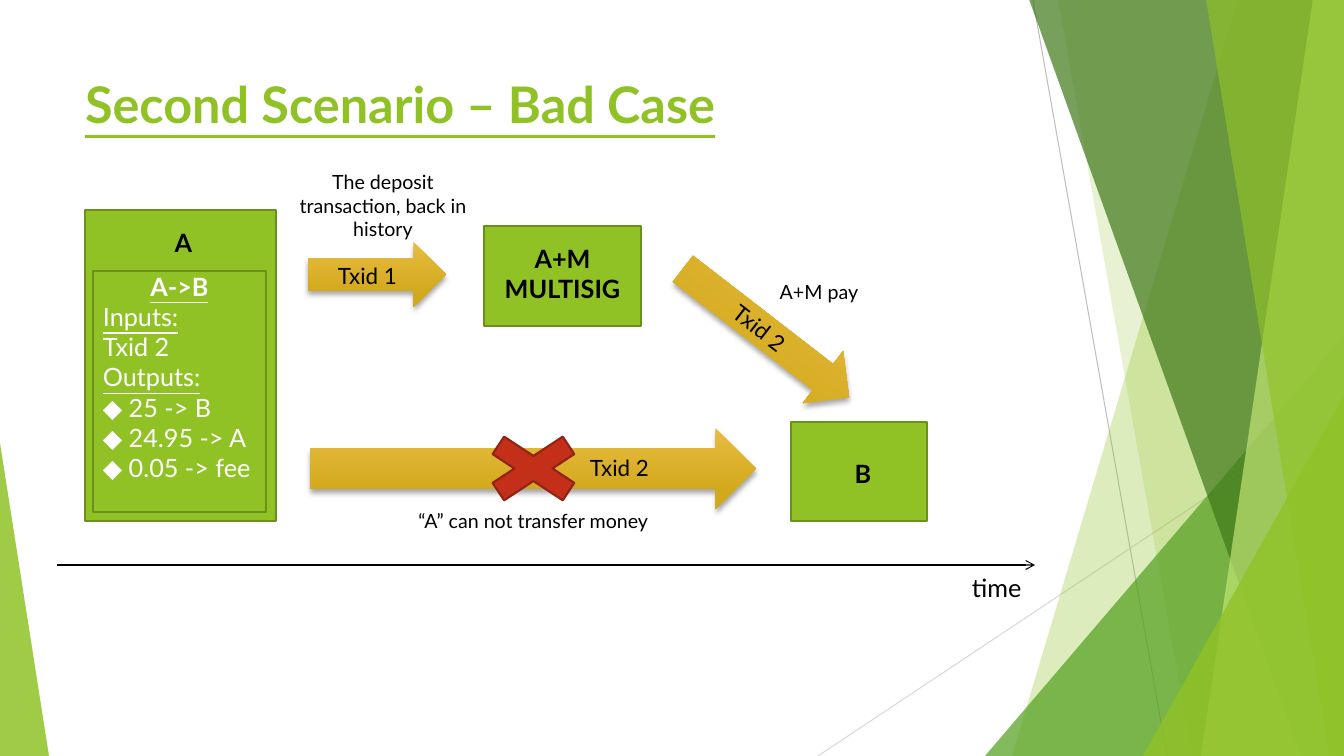
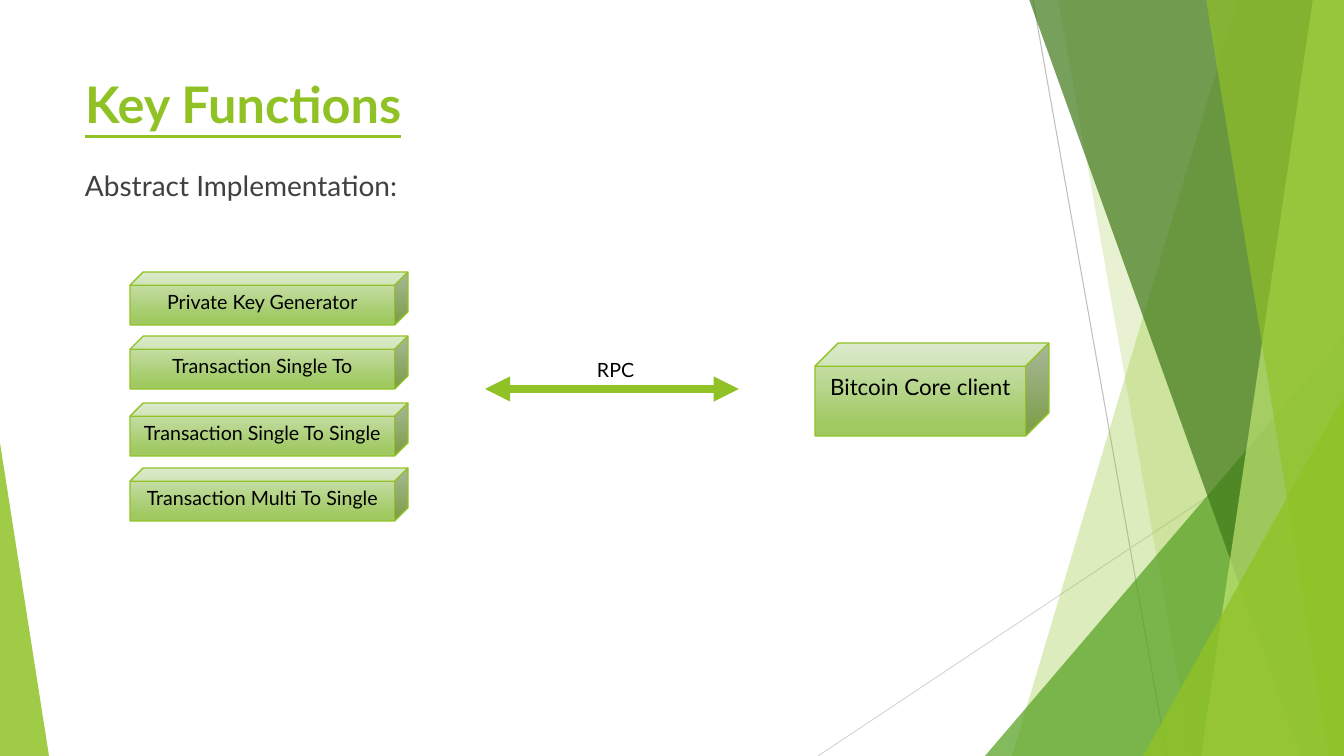
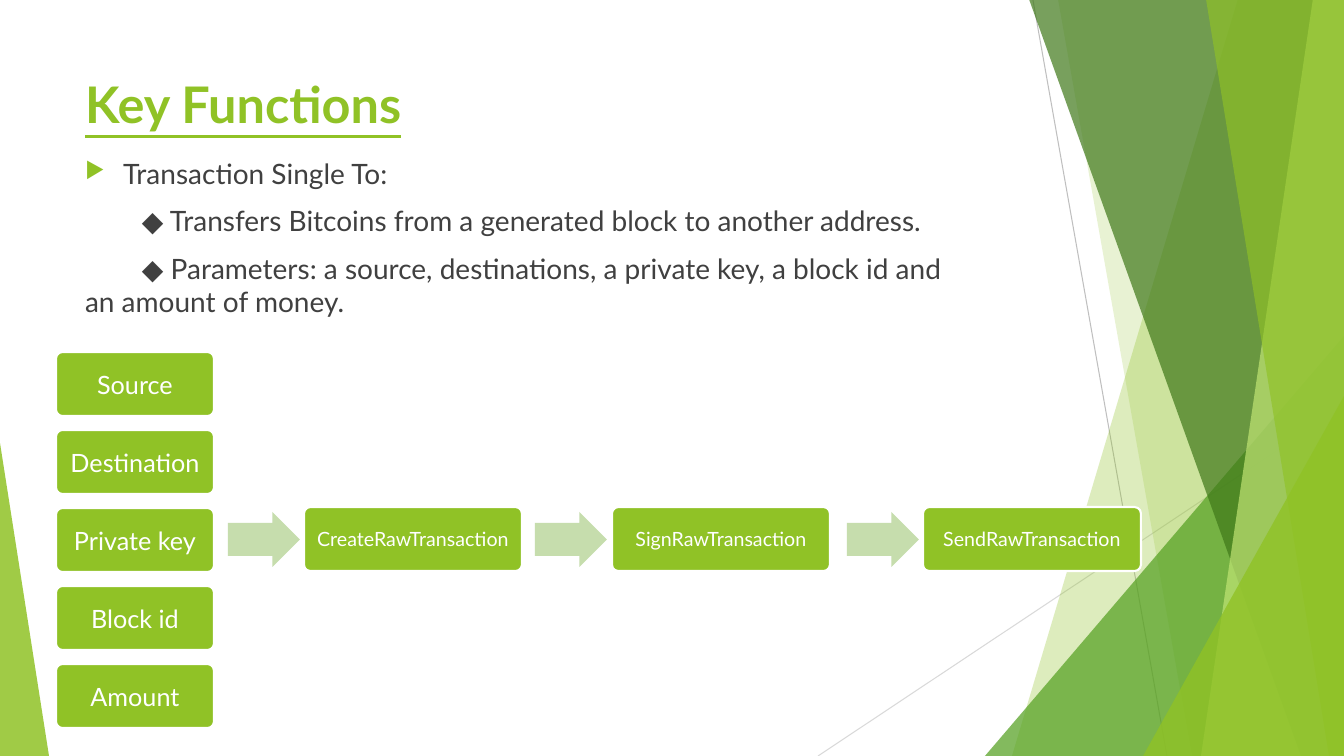
from lxml import etree
from pptx import Presentation
from pptx import util as u
from pptx.dml import color
from pptx.enum import shapes, text
from pptx.oxml import ns

GREEN, DARK_GREEN, PALE_GREEN = "90C226", "6B901C", "C6DDAD"
BLACK, WHITE, GREY = "000000", "FFFFFF", "404040"
RED, DARK_RED = "C42F1A", "912313"
GOLD = (("E7BC43", 0), ("D2A91B", 0.78))
LEAF = (("D3E5BE", 0), ("A0C962", 0.88))
FONT = "Lato"
SCALE = 12192000 / 1344
KIND = shapes.MSO_SHAPE
LEFT, CENTER = text.PP_ALIGN.LEFT, text.PP_ALIGN.CENTER
TOP, MIDDLE = text.MSO_ANCHOR.TOP, text.MSO_ANCHOR.MIDDLE


def px(*lengths):
    return [u.Emu(round(length * SCALE)) for length in lengths]


def rgb(value):
    return color.RGBColor.from_string(value)


def child(parent, tag, **attributes):
    return etree.SubElement(parent, ns.qn(tag), attributes)


def write(frame, lines, size=18, ink=BLACK, bold=False, underline=False, align=LEFT,
          anchor=TOP, insets=(10, 5, 10, 5), space_before=0, indent=0):
    frame.word_wrap = True
    frame.auto_size = text.MSO_AUTO_SIZE.NONE
    frame.vertical_anchor = anchor
    (frame.margin_left, frame.margin_top,
     frame.margin_right, frame.margin_bottom) = px(*insets)
    for index, line in enumerate(lines):
        words, own = line if isinstance(line, tuple) else (line, {})
        paragraph = frame.paragraphs[0] if index == 0 else frame.add_paragraph()
        paragraph.alignment = own.get("align", align)
        if index and space_before:
            paragraph.space_before = u.Pt(space_before)
        properties = paragraph._p.get_or_add_pPr()
        hanging = own.get("hanging", 0)
        if hanging:
            properties.set("marL", str(px(hanging)[0]))
            properties.set("indent", str(px(-hanging)[0]))
            child(child(properties, "a:buClr"), "a:srgbClr", val=GREEN)
            child(properties, "a:buSzPct", val="80000")
            child(properties, "a:buChar", char="▶")
        elif indent:
            properties.set("marL", "0")
            properties.set("indent", str(px(indent)[0]))
        run = paragraph.add_run()
        run.text = words
        run.font.name = FONT
        run.font.size = u.Pt(size)
        run.font.bold = own.get("bold", bold)
        run.font.underline = own.get("underline", underline)
        run.font.color.rgb = rgb(ink)


class Deck:
    def __init__(self):
        self.presentation = Presentation()
        self.presentation.slide_width, self.presentation.slide_height = px(1344, 756)
        self.layout = self.presentation.slide_layouts[5]
        for placeholder in list(self.layout.placeholders)[1:]:
            placeholder.element.getparent().remove(placeholder.element)
        self.slide = None

    def start(self, title):
        self.slide = self.presentation.slides.add_slide(self.layout)
        shape = self.slide.shapes.title
        shape.left, shape.top, shape.width, shape.height = px(75, 68, 948, 145)
        write(shape.text_frame, [title], size=36, ink=GREEN, bold=True, underline=True)

    def paint(self, shape, fill, line=None, width=1.5, alpha=None):
        shape.shadow.inherit = False
        if isinstance(fill, str):
            shape.fill.solid()
            shape.fill.fore_color.rgb = rgb(fill)
        else:
            shape.fill.gradient()
            shape.fill.gradient_angle = 270
            for stop, (shade, position) in zip(shape.fill.gradient_stops, fill):
                stop.color.rgb = rgb(shade)
                stop.position = position
        if alpha:
            solid = shape.element.spPr.find(".//" + ns.qn("a:srgbClr"))
            child(solid, "a:alpha", val=str(alpha * 1000))
        if line:
            shape.line.color.rgb = rgb(line)
            shape.line.width = u.Pt(width)
        else:
            shape.line.fill.background()
        return shape

    def shape(self, kind, box, fill, lines=(), line=None, width=1.5, alpha=None,
              adjust=(), **style):
        shape = self.slide.shapes.add_shape(kind, *px(*box))
        for index, value in enumerate(adjust):
            shape.adjustments[index] = value
        self.paint(shape, fill, line, width, alpha)
        if lines:
            write(shape.text_frame, lines, **{"align": CENTER, "anchor": MIDDLE, **style})
        return shape

    def facet(self, points, fill, alpha):
        builder = self.slide.shapes.build_freeform(*points[0], scale=SCALE)
        builder.add_line_segments(points[1:], close=True)
        self.paint(builder.convert_to_shape(), fill, alpha=alpha)

    def gold_arrow(self, box, lines=(), rotation=0, **style):
        shape = self.shape(KIND.RIGHT_ARROW, box, GOLD, lines, size=16, **style)
        shape.rotation = rotation
        effects = shape.element.spPr.find(ns.qn("a:effectLst"))
        shadow = child(effects, "a:outerShdw", blurRad=str(u.Pt(4)), dist=str(u.Pt(3)),
                       dir="5400000", rotWithShape="0")
        child(child(shadow, "a:srgbClr", val=BLACK), "a:alpha", val="35000")

    def cube(self, box, label, size, bottom):
        self.shape(KIND.CUBE, box, LEAF, [label], line=GREEN, width=1, size=size,
                   insets=(10, 5, 10, bottom))

    def card(self, box, label, size):
        self.shape(KIND.ROUNDED_RECTANGLE, box, GREEN, [label], line=WHITE,
                   adjust=(0.1,), size=size, ink=WHITE, insets=(9, 9, 9, 9))

    def label(self, box, *lines, **style):
        shape = self.slide.shapes.add_textbox(*px(*box))
        write(shape.text_frame, lines, **style)

    def line(self, ends, ink, width, head=None, tail=None):
        connector = self.slide.shapes.add_connector(
            shapes.MSO_CONNECTOR.STRAIGHT, *px(*ends))
        connector.line.color.rgb = rgb(ink)
        connector.line.width = u.Pt(width)
        properties = connector.element.spPr
        outline = properties.find(ns.qn("a:ln"))
        for tag, kind in (("a:headEnd", head), ("a:tailEnd", tail)):
            if kind:
                child(outline, tag, type=kind)
        child(properties, "a:effectLst")

    def move_to_layout(self):
        layout_title = self.layout.placeholders[0].element
        for shape in list(self.slide.shapes):
            if not shape.is_placeholder:
                layout_title.addprevious(shape.element)


def band(top_left, bottom_left):
    return [(top_left, -1), (1344, -1), (1344, 756), (bottom_left, 756)]


def draw_backdrop(deck):
    deck.line((1033, 0, 1167, 756), "BFBFBF", 0.75)
    deck.line((1344, 406, 818, 756), "D9D9D9", 0.75)
    deck.facet(band(1238, 1012), GREEN, 30)
    deck.facet(band(1058, 1192), GREEN, 20)
    deck.shape(KIND.ISOSCELES_TRIANGLE, (985, 336, 359, 420), "54A021", alpha=72, adjust=(1,))
    deck.facet(band(1029, 1301), "3F7819", 70)
    deck.facet(band(1313, 1201), "C0E474", 70)
    deck.facet(band(1206, 1329), GREEN, 65)
    deck.shape(KIND.ISOSCELES_TRIANGLE, (1143, 396, 201, 360), GREEN, alpha=80, adjust=(1,))
    deck.shape(KIND.ISOSCELES_TRIANGLE, (0, 443, 49, 313), GREEN, alpha=85, adjust=(0,))
    deck.move_to_layout()


def draw_bad_case(deck):
    for box in ((85, 210, 191, 311), (484, 226, 157, 100), (791, 422, 136, 99)):
        deck.shape(KIND.RECTANGLE, box, GREEN, line=DARK_GREEN)
    deck.label((137, 222, 93, 40), "A", bold=True, align=CENTER)
    deck.label((483, 238, 159, 72), "A+M", "MULTISIG", bold=True, align=CENTER)
    deck.label((838, 453, 50, 40), "B", bold=True, align=CENTER)
    deck.gold_arrow((308, 242, 138, 65))
    deck.label((285, 165, 196, 82), "The deposit transaction, back in history",
               size=14, align=CENTER)
    deck.line((57, 565, 1035, 565), BLACK, 0.75, tail="arrow")
    deck.label((962, 567, 75, 40), "time")
    deck.gold_arrow((310, 428, 446, 81), ["Txid 2"], align=LEFT, insets=(280, 5, 10, 7))
    deck.label((399, 504, 269, 34), "“A” can not transfer money", size=14, align=CENTER)
    deck.label((711, 275, 216, 34), "A+M pay", size=14, align=CENTER)
    deck.shape(KIND.MATH_MULTIPLY, (466, 424, 135, 89), RED, line=DARK_RED)
    ledger = [("A->B", {"align": CENTER, "bold": True, "underline": True}),
              ("Inputs:", {"underline": True}), "Txid 2",
              ("Outputs:", {"underline": True}),
              "◆ 25 -> B", "◆ 24.95 -> A", "◆ 0.05 -> fee"]
    deck.shape(KIND.RECTANGLE, (93, 271, 173, 241), GREEN, ledger, line=DARK_GREEN,
               ink=WHITE, align=LEFT, anchor=TOP, insets=(10, 0, 10, 0))
    deck.label((328, 257, 86, 37), "Txid 1", size=16)
    deck.gold_arrow((661, 300, 210, 66), ["Txid 2"], rotation=37.7)


def draw_implementation(deck):
    deck.cube((815, 343, 234, 93), "Bitcoin Core client", 16, 35)
    deck.label((587, 353, 98, 34), "RPC", size=14)
    functions = ((272, "Private Key Generator"), (336, "Transaction Single To"),
                 (403, "Transaction Single To Single"), (468, "Transaction Multi To Single"))
    for top, name in functions:
        deck.cube((130, top, 278, 53), name, 14, 11)
    deck.line((485, 389, 739, 389), GREEN, 6, head="triangle", tail="triangle")
    deck.label((75, 164, 948, 202), "Abstract Implementation:", size=20, ink=GREY)


def draw_single_to(deck):
    deck.label((75, 151, 895, 191), ("Transaction Single To:", {"hanging": 38}),
               "◆ Transfers Bitcoins from a generated block to another address.",
               "◆ Parameters: a source, destinations, a private key, a block id and "
               "an amount of money.",
               size=20, ink=GREY, space_before=10, indent=57)
    parameters = ("Source", "Destination", "Private key", "Block id", "Amount")
    for row, name in enumerate(parameters):
        deck.card((56, 352 + 78 * row, 158, 64), name, 18)
    steps = ((228, 304, "CreateRawTransaction"), (535, 612, "SignRawTransaction"),
             (847, 923, "SendRawTransaction"))
    for arrow_left, card_left, name in steps:
        deck.shape(KIND.RIGHT_ARROW, (arrow_left, 512, 72, 55), PALE_GREEN, adjust=(0.6, 0.5))
        deck.card((card_left, 507, 218, 64), name, 14)


def main():
    deck = Deck()
    deck.start("Second Scenario – Bad Case")
    draw_backdrop(deck)
    draw_bad_case(deck)
    deck.start("Key Functions")
    draw_implementation(deck)
    deck.start("Key Functions")
    draw_single_to(deck)
    deck.presentation.save("out.pptx")


if __name__ == "__main__":
    main()
